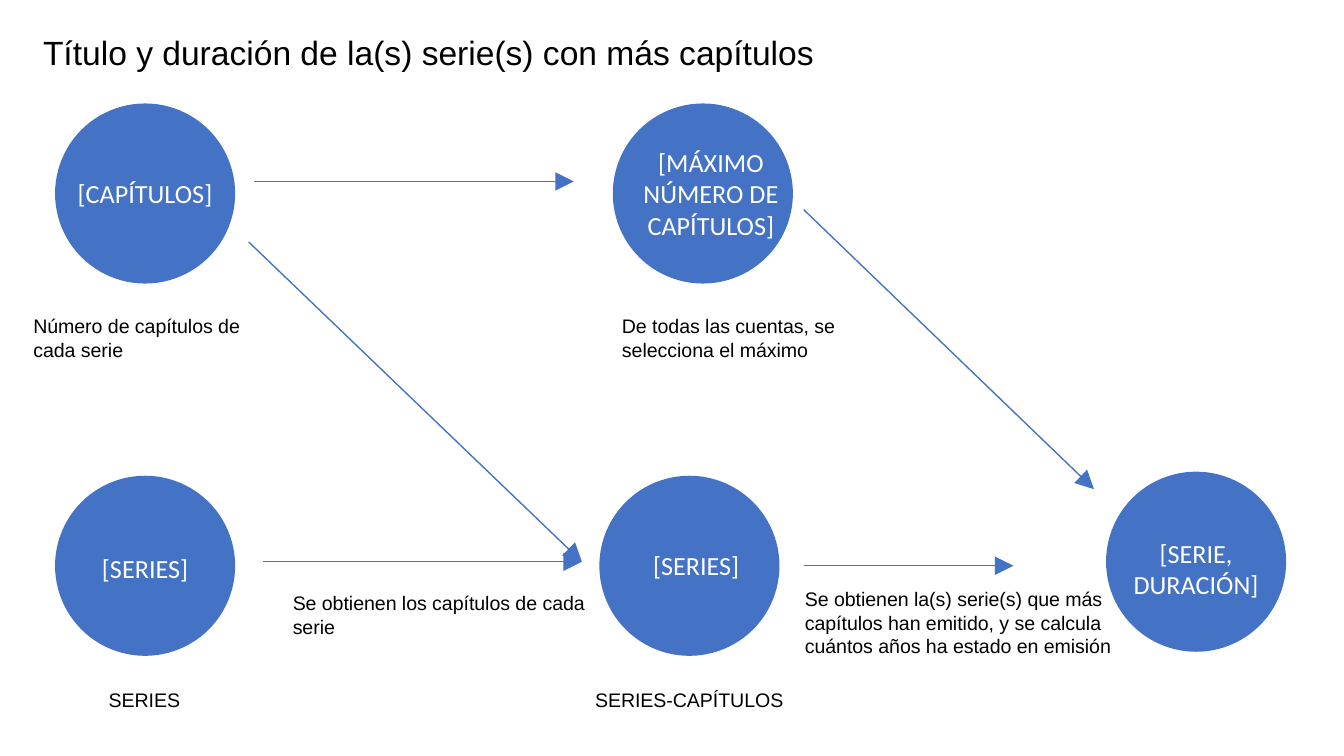
import pptx
import pptx.util
import pptx.dml.color
import pptx.enum.shapes
import pptx.enum.text
import pptx.oxml
import pptx.oxml.ns
from pptx.util import Inches

BLUE, BLACK, WHITE = "4472C4", "000000", "FFFFFF"
DIAMETER = 1.34

# Circle left and top, label text, label left, top and height
NODES = [
    (0.41, 0.77, "[CAPÍTULOS]", 0.41, 1.27, 0.34),
    (4.56, 0.77, "[MÁXIMO NÚMERO DE CAPÍTULOS]", 4.62, 1.04, 0.81),
    (0.41, 3.54, "[SERIES]", 0.41, 4.06, 0.34),
    (4.46, 3.54, "[SERIES]", 4.51, 4.04, 0.34),
    (8.23, 3.51, "[SERIE, DURACIÓN]", 8.23, 3.95, 0.57),
]

# Text, left, top, width, height
NOTES = [
    ("Número de capítulos de cada serie", 0.15, 2.29, 1.93, 0.45),
    ("De todas las cuentas, se selecciona el máximo", 4.53, 2.29, 1.93, 0.45),
    ("Se obtienen los capítulos de cada serie", 2.08, 4.35, 2.39, 0.63),
    ("Se obtienen la(s) serie(s) que más capítulos han emitido, "
     "y se calcula cuántos años ha estado en emisión", 5.89, 4.32, 2.51, 0.63),
    ("SERIES", 0.71, 5.07, 0.81, 0.28),
    ("SERIES-CAPÍTULOS", 4.33, 5.07, 1.83, 0.28),
]

# Start x, y and end x, y
ARROWS = [
    (1.89, 1.35, 4.27, 1.35),
    (1.85, 1.80, 4.33, 4.18),
    (1.96, 4.18, 4.33, 4.18),
    (5.98, 4.21, 7.54, 4.21),
    (5.98, 1.56, 8.14, 3.64),
]


def rgb(color):
    return pptx.dml.color.RGBColor.from_string(color)


def write(sp, text, size=10.5, font="Arial", color=BLACK, align="LEFT"):
    tf = sp.text_frame
    tf.word_wrap = True
    tf.auto_size = pptx.enum.text.MSO_AUTO_SIZE.NONE
    tf.vertical_anchor = pptx.enum.text.MSO_ANCHOR.TOP
    p = tf.paragraphs[0]
    p.alignment = pptx.enum.text.PP_ALIGN[align]
    r = p.add_run()
    r.text = text
    r.font.size = pptx.util.Pt(size)
    r.font.name = font
    r.font.color.rgb = rgb(color)


def add_title(s, text):
    sp = s.shapes.title
    sp.left, sp.top = Inches(0.22), Inches(0.19)
    sp.width, sp.height = Inches(9.67), Inches(0.42)
    write(sp, text, size=18)


def add_text(s, text, x, y, w, h, **style):
    sp = s.shapes.add_textbox(Inches(x), Inches(y), Inches(w), Inches(h))
    write(sp, text, **style)


def add_circle(s, x, y):
    sp = s.shapes.add_shape(pptx.enum.shapes.MSO_SHAPE.OVAL, Inches(x), Inches(y),
                            Inches(DIAMETER), Inches(DIAMETER))
    sp.shadow.inherit = False
    sp.fill.solid()
    sp.fill.fore_color.rgb = rgb(BLUE)
    sp.line.fill.background()


def add_arrow(s, x1, y1, x2, y2):
    sp = s.shapes.add_connector(pptx.enum.shapes.MSO_CONNECTOR.STRAIGHT,
                                Inches(x1), Inches(y1), Inches(x2), Inches(y2))
    sp.line.color.rgb = rgb(BLUE)
    sp.line.width = pptx.util.Pt(0.75)
    # Arrowhead, and no shadow
    head = pptx.oxml.parse_xml(
        '<a:tailEnd %s type="triangle" w="lg" len="lg"/>' % pptx.oxml.ns.nsdecls("a"))
    sp.get_or_add_ln().append(head)
    sp._element.spPr.append(
        pptx.oxml.parse_xml("<a:effectLst %s/>" % pptx.oxml.ns.nsdecls("a")))


def main():
    # Widescreen slide, 16:9
    prs = pptx.Presentation()
    prs.slide_width = Inches(10)
    prs.slide_height = Inches(10) * 9 // 16
    s = prs.slides.add_slide(prs.slide_layouts[5])

    add_title(s, "Título y duración de la(s) serie(s) con más capítulos")

    # Circles with their labels
    for x, y, text, label_x, label_y, label_h in NODES:
        add_circle(s, x, y)
        add_text(s, text, label_x, label_y, DIAMETER, label_h,
                 size=14, font="Calibri", color=WHITE, align="CENTER")

    # Explanations and captions
    for note in NOTES:
        add_text(s, *note)

    # Flow between circles
    for arrow in ARROWS:
        add_arrow(s, *arrow)

    prs.save("out.pptx")


if __name__ == "__main__":
    main()
